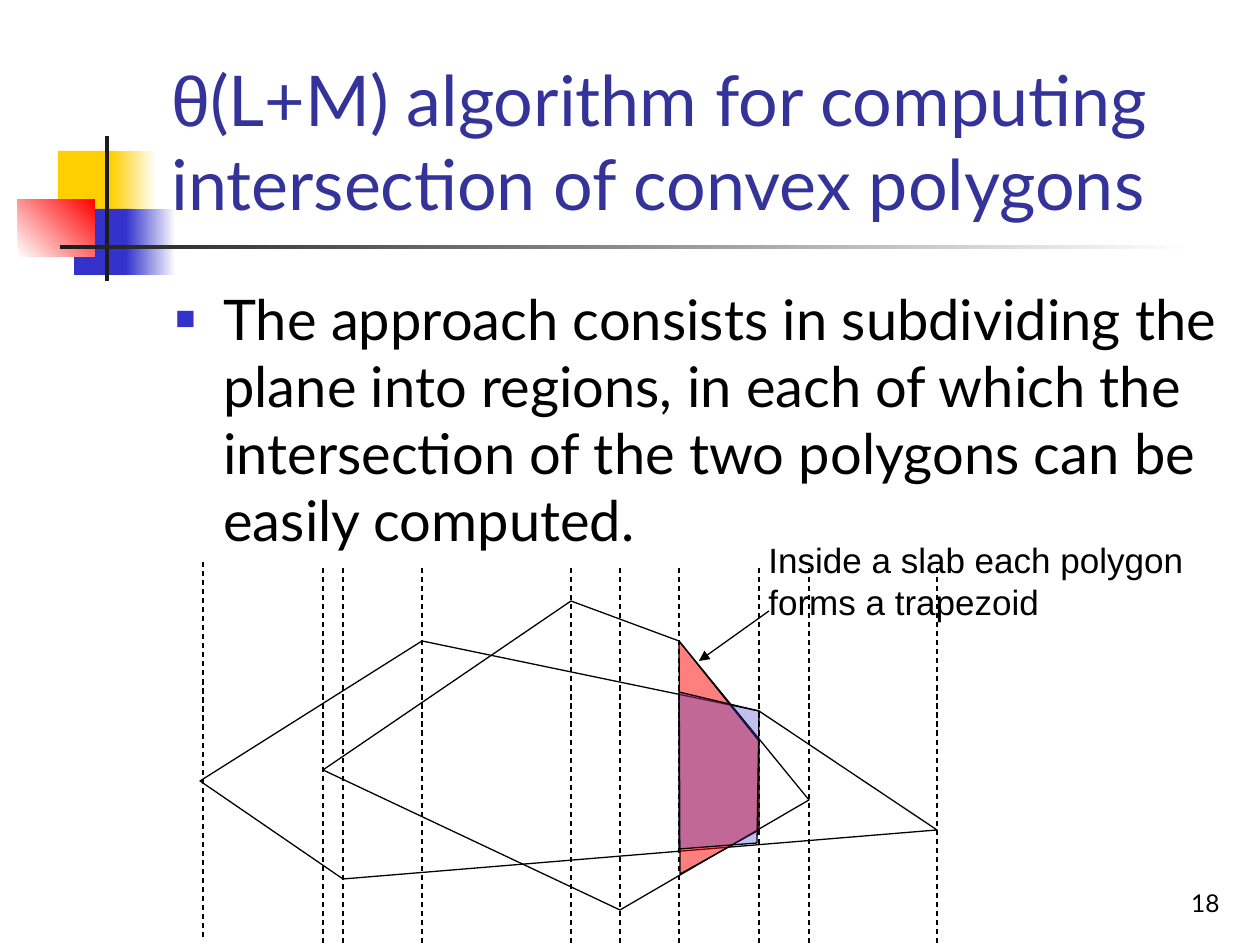
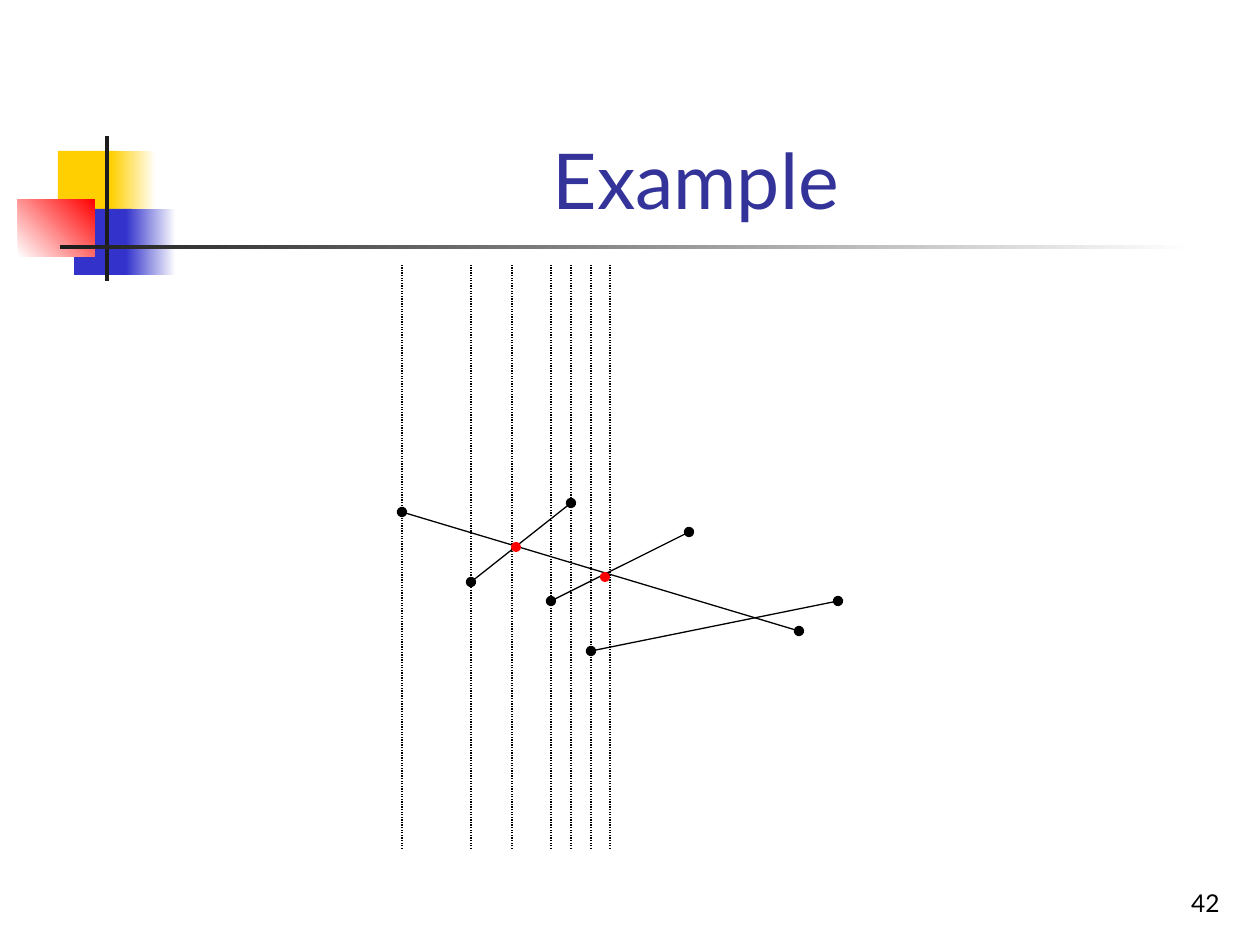
from lxml import etree
from pptx import Presentation
from pptx.dml.color import RGBColor
from pptx.enum.dml import MSO_LINE
from pptx.enum.shapes import MSO_CONNECTOR, MSO_SHAPE
from pptx.enum.text import MSO_ANCHOR, MSO_AUTO_SIZE, PP_ALIGN
from pptx.oxml.ns import qn
from pptx.util import Emu, Pt

RECTANGLE, OVAL, STRAIGHT = MSO_SHAPE.RECTANGLE, MSO_SHAPE.OVAL, MSO_CONNECTOR.STRAIGHT
DASH, DOTS = MSO_LINE.DASH, MSO_LINE.ROUND_DOT
LEFT, CENTER, RIGHT = PP_ALIGN.LEFT, PP_ALIGN.CENTER, PP_ALIGN.RIGHT
TOP, BOTTOM = MSO_ANCHOR.TOP, MSO_ANCHOR.BOTTOM
FIT_SHAPE = MSO_AUTO_SIZE.SHAPE_TO_FIT_TEXT

SCALE = 914400 / 126  # EMU per pixel
SLIDE_SIZE = (1260, 945)
LINE_WIDTH = 0.74
MAIN_FONT, PLAIN_FONT = "Lato", "Arial"
COLORS = {
    "title": "333399", "text": "000000", "line": "000000", "white": "FFFFFF",
    "yellow": "FFCF01", "blue": "3333CC", "red": "FF0000", "dark": "1C1C1C",
}

# Shared ornament: box, colours (two make a gradient), gradient angle
ORNAMENT = [
    ((58, 151, 60, 66), ("yellow",), 0),
    ((111, 151, 45, 66), ("yellow", "white"), 0),
    ((74, 209, 58, 66), ("blue",), 0),
    ((126, 209, 50, 66), ("blue", "white"), 0),
    ((18, 199, 77, 58), ("white", "red"), 45),
    ((105, 136, 4, 145), ("dark",), 0),
    ((60, 245, 1134, 4), ("dark", "white"), 0),
]
TITLE_BOX = (159, 29, 1074, 202)
BODY_BOX = (163, 278, 1071, 567)
NUMBER_BOX = (970, 861, 262, 63)

# Slab slide
SLAB_TITLE = [("θ", PLAIN_FONT),
              ("(L+M) algorithm for computing intersection of convex polygons", MAIN_FONT)]
APPROACH = ("The approach consists in subdividing the plane into regions, in each of which "
            "the intersection of the two polygons can be easily computed.")
POLYGONS = [
    [(200, 781), (422, 641), (759, 711), (937, 830), (343, 879)],
    [(323, 770), (571, 601), (679, 641), (809, 800), (620, 910)],
]
FIRST_SLAB = (203, 562, 939)
SLAB_TOP, SLAB_BOTTOM = 568, 945
TRAPEZOIDS = [
    ([(679, 641), (759, 741), (759, 830), (680, 874)], "red", 50),
    ([(679, 692), (759, 711), (757, 843), (679, 849)], "blue", 30),
]
CALLOUT = ["Inside a slab each polygon ", "forms a trapezoid"]
CALLOUT_BOX = (756, 532, 470, 97)
CALLOUT_ARROW = ((769, 611), (699, 661))

# Sweep slide
EXAMPLE_TITLE = [("Example", MAIN_FONT)]
SEGMENTS = [
    ((471, 582), (571, 503)),
    ((402, 512), (799, 631)),
    ((551, 601), (689, 532)),
    ((591, 651), (838, 601)),
]
SWEEP_XS = [402, 471, 512, 551, 571, 591, 610]
SWEEP_TOP, SWEEP_BOTTOM = 265, 849
CROSSINGS = [(516, 547), (605, 577)]
DOT = 10


def px(*lengths):
    """Turn pixel lengths into EMU."""
    return [Emu(round(length * SCALE)) for length in lengths]


def color(name):
    """Look up a named colour."""
    return RGBColor.from_string(COLORS[name])


def add_filled(slide, kind, box, names, angle=0):
    """Add a borderless shape with a solid or gradient fill."""
    shape = slide.shapes.add_shape(kind, *px(*box))
    shape.shadow.inherit = False
    shape.line.fill.background()
    if len(names) == 1:
        shape.fill.solid()
        shape.fill.fore_color.rgb = color(names[0])
        return
    shape.fill.gradient()
    shape.fill.gradient_angle = angle
    for stop, name, position in zip(shape.fill.gradient_stops, names, (0, 1)):
        stop.color.rgb = color(name)
        stop.position = position


def add_line(shapes, start, end, dash=None, head=None, tail=None):
    """Add a thin line with optional dashes and line ends."""
    line = shapes.add_connector(STRAIGHT, *px(*start, *end))
    line.line.width = Pt(LINE_WIDTH)
    line.line.color.rgb = color("line")
    if dash:
        line.line.dash_style = dash
    properties = line.element.spPr
    for tag, kind in (("a:headEnd", head), ("a:tailEnd", tail)):
        if kind:
            etree.SubElement(properties.find(qn("a:ln")), qn(tag), type=kind)
    etree.SubElement(properties, qn("a:effectLst"))


def add_polygon(shapes, points, fill=None, opacity=100):
    """Add a closed outline, optionally with a see-through fill."""
    builder = shapes.build_freeform(*points[0], scale=SCALE)
    builder.add_line_segments(points[1:], close=True)
    shape = builder.convert_to_shape()
    shape.shadow.inherit = False
    shape.line.width = Pt(LINE_WIDTH)
    shape.line.color.rgb = color("line")
    if fill is None:
        shape.fill.background()
        return
    shape.fill.solid()
    shape.fill.fore_color.rgb = color(fill)
    solid = shape.element.spPr.find(qn("a:solidFill"))
    etree.SubElement(solid[0], qn("a:alpha"), val=str(opacity * 1000))


def add_text(slide, box, paragraphs, size, name="text", align=LEFT, anchor=TOP, wrap=True):
    """Add a text box; each paragraph is a list of (text, font) runs."""
    frame = slide.shapes.add_textbox(*px(*box)).text_frame
    frame.word_wrap = wrap
    frame.vertical_anchor = anchor
    for index, runs in enumerate(paragraphs):
        paragraph = frame.add_paragraph() if index else frame.paragraphs[0]
        paragraph.alignment = align
        paragraph.font.size = Pt(size)
        paragraph.font.color.rgb = color(name)
        for text, font in runs:
            run = paragraph.add_run()
            run.text = text
            run.font.name = font
    return frame


def add_bullet(paragraph):
    """Give a paragraph a hanging square bullet."""
    paragraph.space_before = Pt(8)
    properties = paragraph._p.get_or_add_pPr()
    indent = px(48)[0]
    properties.set("marL", str(indent))
    properties.set("indent", str(-indent))
    bullet_color = etree.SubElement(properties, qn("a:buClr"))
    etree.SubElement(bullet_color, qn("a:srgbClr"), val=COLORS["blue"])
    etree.SubElement(properties, qn("a:buSzPct"), val="60000")
    etree.SubElement(properties, qn("a:buFont"), typeface=PLAIN_FONT)
    etree.SubElement(properties, qn("a:buChar"), char="■")


def add_base(presentation, title, size, number, align=LEFT):
    """Add a slide with the ornament, title and slide number."""
    slide = presentation.slides.add_slide(presentation.slide_layouts[6])
    for box, names, angle in ORNAMENT:
        add_filled(slide, RECTANGLE, box, names, angle)
    add_text(slide, TITLE_BOX, [title], size, "title", align, BOTTOM)
    add_text(slide, NUMBER_BOX, [[(number, MAIN_FONT)]], 14, align=RIGHT, anchor=BOTTOM)
    return slide


def build_slab_slide(presentation):
    """Two polygons cut into slabs at their vertices."""
    slide = add_base(presentation, SLAB_TITLE, 40, "18")
    body = add_text(slide, BODY_BOX, [[(APPROACH, MAIN_FONT)]], 32)
    add_bullet(body.paragraphs[0])
    drawing = slide.shapes.add_group_shape().shapes
    for points in POLYGONS:
        add_polygon(drawing, points)
    vertex_xs = sorted(x for points in POLYGONS for x, _ in points)
    slabs = [FIRST_SLAB] + [(x, SLAB_TOP, SLAB_BOTTOM) for x in vertex_xs[1:]]
    for x, top, bottom in slabs:
        add_line(drawing, (x, top), (x, bottom), DASH)
    for points, fill, opacity in TRAPEZOIDS:
        add_polygon(slide.shapes, points, fill, opacity)
    callout = add_text(slide, CALLOUT_BOX, [[(line, PLAIN_FONT)] for line in CALLOUT],
                       20, wrap=False)
    callout.auto_size = FIT_SHAPE
    add_line(slide.shapes, *CALLOUT_ARROW, tail="triangle")


def build_sweep_slide(presentation):
    """Segments crossed by the sweep line's stops."""
    slide = add_base(presentation, EXAMPLE_TITLE, 44, "42", CENTER)
    drawing = slide.shapes.add_group_shape().shapes
    for start, end in SEGMENTS:
        add_line(drawing, start, end, head="oval", tail="oval")
    for x in SWEEP_XS:
        add_line(slide.shapes, (x, SWEEP_BOTTOM), (x, SWEEP_TOP), DOTS)
    for x, y in CROSSINGS:
        add_filled(slide, OVAL, (x - DOT / 2, y - DOT / 2, DOT, DOT), ("red",))


presentation = Presentation()
presentation.slide_width, presentation.slide_height = px(*SLIDE_SIZE)
build_slab_slide(presentation)
build_sweep_slide(presentation)
presentation.save("out.pptx")
